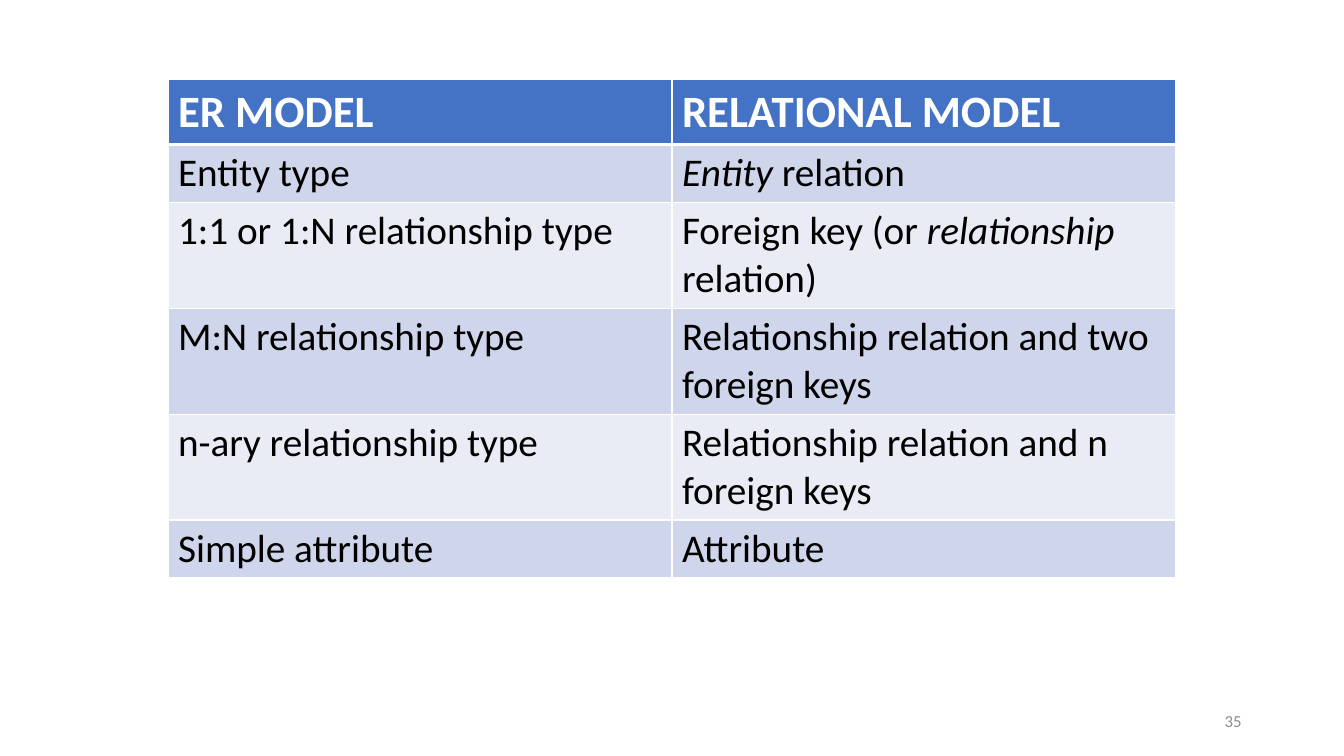
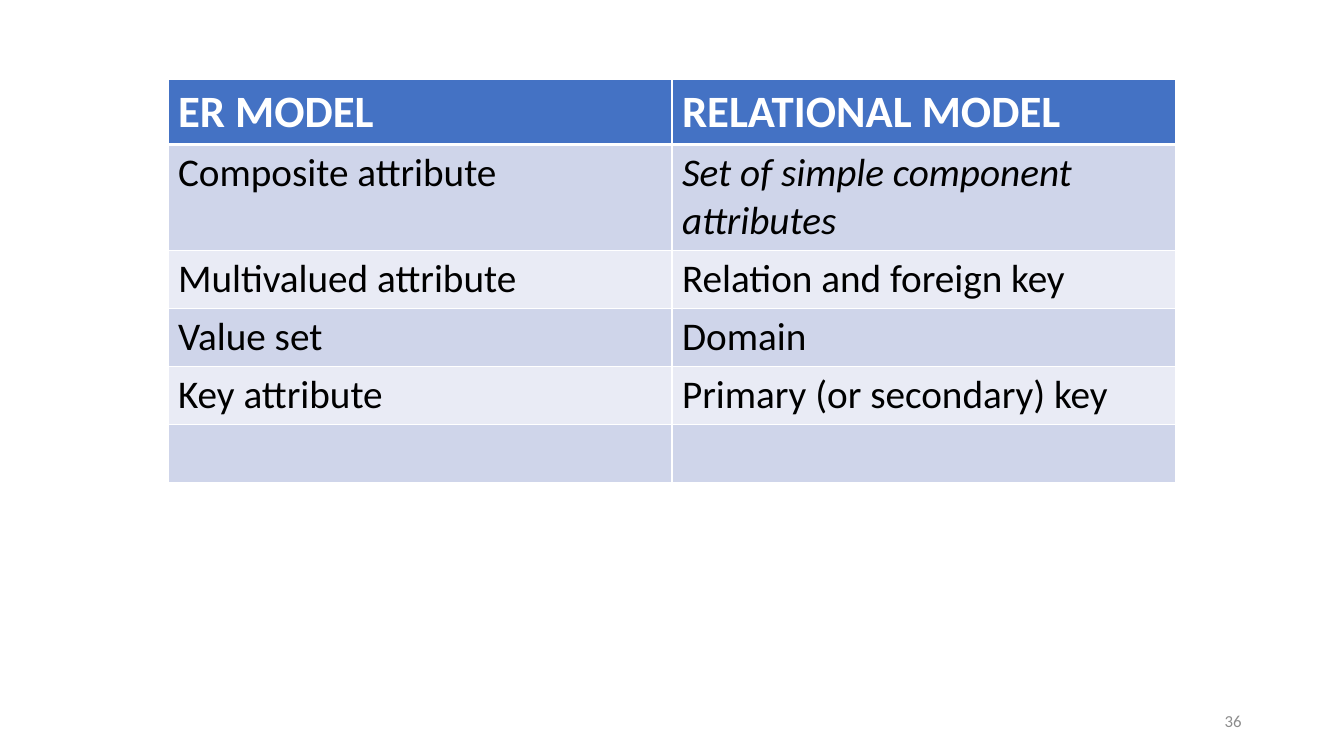
from dataclasses import dataclass

from lxml import etree
from pptx import Presentation
from pptx.dml.color import RGBColor
from pptx.enum import text
from pptx.oxml import ns
from pptx.util import Pt


@dataclass(frozen=True)
class Theme:
    font: str = "Calibri"
    header_fill: str = "4472C4"
    band_fills: tuple = ("CFD5EA", "E9EBF5")
    white: str = "FFFFFF"
    black: str = "000000"
    grey: str = "8C8C8C"
    header_size: float = 32
    body_size: float = 28
    number_size: float = 12
    rule: float = 1
    header_rule: float = 3


THEME = Theme()

# Table geometry in points
TABLE_LEFT, TABLE_TOP, COLUMN_WIDTH = 120, 57, 360
HEADER_HEIGHT, LINE_HEIGHT, CELL_PADDING = 46.3, 34.2, 7.2

HEADINGS = ("ER MODEL", "RELATIONAL MODEL")

# Slide number: rows of ER term, relational term and line count; *...* is italic
MAPPINGS = {
    35: (
        ("Entity type", "*Entity *relation", 1),
        ("1:1 or 1:N relationship type", "Foreign key (or *relationship *relation)", 2),
        ("M:N relationship type", "Relationship relation and two foreign keys", 2),
        ("n-ary relationship type", "Relationship relation and n foreign keys", 2),
        ("Simple attribute", "Attribute", 1),
    ),
    36: (
        ("Composite attribute", "*Set of simple component attributes*", 2),
        ("Multivalued attribute", "Relation and foreign key", 1),
        ("Value set", "Domain", 1),
        ("Key attribute", "Primary (or secondary) key", 1),
        ("", "", 1),
    ),
}


def write(para, marked, color, **formats):
    """Add spans to a paragraph; pieces between asterisks are italic."""
    for index, piece in enumerate(marked.split("*")):
        if not piece:
            continue
        span = para.add_run()
        span.text = piece
        span.font.color.rgb = RGBColor.from_string(color)
        for name, value in {"name": THEME.font, "italic": index % 2 == 1, **formats}.items():
            setattr(span.font, name, value)


def add_borders(cell, top, bottom):
    properties = cell._tc.get_or_add_tcPr()
    widths = {"lnL": THEME.rule, "lnR": THEME.rule, "lnT": top, "lnB": bottom}
    for side, width in widths.items():
        line = etree.SubElement(properties, ns.qn(f"a:{side}"), w=str(Pt(width)))
        fill = etree.SubElement(line, ns.qn("a:solidFill"))
        etree.SubElement(fill, ns.qn("a:srgbClr"), val=THEME.white)


def fill_row(table, index, terms):
    header = index == 0
    if header:
        fill, color, size = THEME.header_fill, THEME.white, THEME.header_size
    else:
        fill = THEME.band_fills[(index - 1) % 2]
        color, size = THEME.black, THEME.body_size
    top = THEME.header_rule if index == 1 else THEME.rule
    bottom = THEME.header_rule if header else THEME.rule
    for column, term in enumerate(terms):
        cell = table.cell(index, column)
        add_borders(cell, top, bottom)
        cell.fill.solid()
        cell.fill.fore_color.rgb = RGBColor.from_string(fill)
        write(cell.text_frame.paragraphs[0], term, color, size=Pt(size), bold=header)


def add_mapping_table(page, rows):
    heights = [HEADER_HEIGHT] + [lines * LINE_HEIGHT + CELL_PADDING for *_, lines in rows]
    table = page.shapes.add_table(
        len(heights), len(HEADINGS), Pt(TABLE_LEFT), Pt(TABLE_TOP),
        Pt(COLUMN_WIDTH * len(HEADINGS)), Pt(sum(heights)),
    ).table
    for column in table.columns:
        column.width = Pt(COLUMN_WIDTH)
    for row, height in zip(table.rows, heights):
        row.height = Pt(height)
    for index, terms in enumerate([HEADINGS] + [row[:2] for row in rows]):
        fill_row(table, index, terms)


def add_page_number(page, number):
    box = page.shapes.add_textbox(Pt(678), Pt(500.5), Pt(216), Pt(28.8))
    frame = box.text_frame
    frame.word_wrap = True
    frame.vertical_anchor = text.MSO_ANCHOR.MIDDLE
    para = frame.paragraphs[0]
    para.alignment = text.PP_ALIGN.RIGHT
    write(para, str(number), THEME.grey, size=Pt(THEME.number_size))


def main():
    deck = Presentation()
    deck.slide_width, deck.slide_height = Pt(960), Pt(540)
    blank = deck.slide_layouts[6]
    for number, rows in MAPPINGS.items():
        page = deck.slides.add_slide(blank)
        add_page_number(page, number)
        add_mapping_table(page, rows)
    deck.save("out.pptx")


if __name__ == "__main__":
    main()
